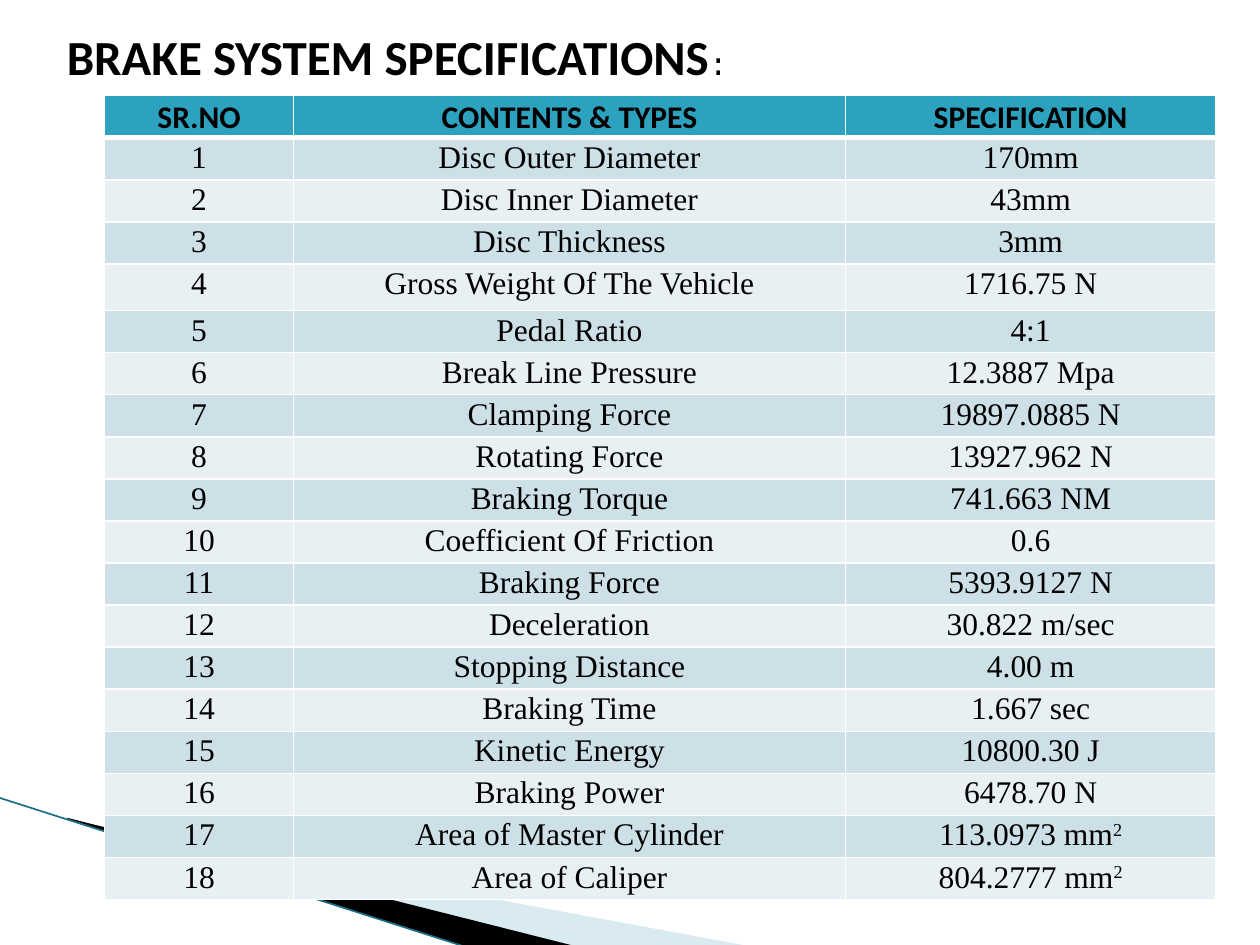
import dataclasses

import lxml.etree
import pptx
import pptx.dml.color
import pptx.enum.shapes
import pptx.enum.text
import pptx.oxml.ns
import pptx.util

RGB = pptx.dml.color.RGBColor
Inches = pptx.util.Inches
Pt = pptx.util.Pt
qn = pptx.oxml.ns.qn

BLACK = RGB(0x00, 0x00, 0x00)
WHITE = RGB(0xFF, 0xFF, 0xFF)
TEAL = RGB(0x2D, 0xA2, 0xBF)
BLUE = RGB(0xCD, 0xE0, 0xE8)
PALE = RGB(0xE8, 0xF0, 0xF4)
SKY = RGB(0xA0, 0xCB, 0xDC)
EDGE = RGB(0x1B, 0x70, 0x86)

HEADS = ("SR.NO", "CONTENTS & TYPES", "SPECIFICATION")
WIDTHS = (1.5, 4.38, 2.94)
HEIGHT = 6.38
TALL = 0.37
TALL_ROW = 4


@dataclasses.dataclass
class Spec:
    name: str
    value: str
    power: str = ""


@dataclasses.dataclass
class Wedge:
    box: tuple[float, float, float, float]
    points: list[tuple[float, float]]
    color: RGB
    alpha: int = 100


SPECS = [
    Spec("Disc Outer Diameter", "170mm"),
    Spec("Disc Inner Diameter", "43mm"),
    Spec("Disc Thickness", "3mm"),
    Spec("Gross Weight Of The Vehicle", "1716.75 N"),
    Spec("Pedal Ratio", "4:1"),
    Spec("Break Line Pressure", "12.3887 Mpa"),
    Spec("Clamping Force", "19897.0885 N"),
    Spec("Rotating Force", "13927.962 N"),
    Spec("Braking Torque", "741.663 NM"),
    Spec("Coefficient Of Friction", "0.6"),
    Spec("Braking Force", "5393.9127 N"),
    Spec("Deceleration", "30.822 m/sec"),
    Spec("Stopping Distance", "4.00 m"),
    Spec("Braking Time", "1.667 sec"),
    Spec("Kinetic Energy", "10800.30 J"),
    Spec("Braking Power", "6478.70 N"),
    Spec("Area of Master Cylinder", "113.0973 mm", "2"),
    Spec("Area of Caliper", "804.2777 mm", "2"),
]

WEDGES = [
    Wedge((0.78, 5.47, 4.16, 1.58),
          [(0.55, 6.51), (5.95, 7.51), (4.56, 7.51), (0.55, 6.5)], SKY, 40),
    Wedge((-0.06, 6.33, 4.16, 0.92),
          [(0.53, 6.49), (4.57, 7.51), (3.72, 7.52), (0.54, 6.5)], BLACK),
]


def add_run(para, text: str, size: int, face: str, bold: bool = False):
    run = para.add_run()
    run.text = text
    run.font.size = Pt(size)
    run.font.name = face
    run.font.bold = bold
    run.font.color.rgb = BLACK
    return run


def set_frame(shape, box: tuple[float, float, float, float]) -> None:
    left, top, width, height = map(Inches, box)
    right, down = shape.left - left, shape.top - top
    route = shape._element.find(".//" + qn("a:path"))
    route.set("w", str(width))
    route.set("h", str(height))
    for point in route.iter(qn("a:pt")):
        point.set("x", str(int(point.get("x")) + right))
        point.set("y", str(int(point.get("y")) + down))
    shape.left, shape.top = left, top
    shape.width, shape.height = width, height


def draw_wedge(slide, wedge: Wedge) -> None:
    first, *rest = [(Inches(x), Inches(y)) for x, y in wedge.points]
    form = slide.shapes.build_freeform(*first)
    form.add_line_segments(rest, close=True)
    shape = form.convert_to_shape()
    set_frame(shape, wedge.box)
    shape.shadow.inherit = False
    shape.line.fill.background()
    shape.fill.solid()
    shape.fill.fore_color.rgb = wedge.color
    if wedge.alpha < 100:
        color = shape.fill._xPr.find(".//" + qn("a:srgbClr"))
        lxml.etree.SubElement(color, qn("a:alpha"), val=str(wedge.alpha * 1000))


def draw_edge(slide) -> None:
    line = slide.shapes.add_connector(
        pptx.enum.shapes.MSO_CONNECTOR.STRAIGHT,
        Inches(-0.01), Inches(6.33), Inches(3.71), Inches(7.52))
    line.line.color.rgb = EDGE
    line.line.width = Pt(0.95)
    lxml.etree.SubElement(line._element.spPr, qn("a:effectLst"))


def draw_title(slide) -> None:
    title = slide.shapes.title
    title.left, title.top = Inches(0.43), Inches(0.16)
    title.width, title.height = Inches(5.52), Inches(0.57)
    frame = title.text_frame
    frame.word_wrap = False
    frame.auto_size = pptx.enum.text.MSO_AUTO_SIZE.SHAPE_TO_FIT_TEXT
    frame.vertical_anchor = pptx.enum.text.MSO_ANCHOR.TOP
    para = frame.paragraphs[0]
    para.alignment = pptx.enum.text.PP_ALIGN.LEFT
    para.line_spacing = 1.0
    para.space_before = Pt(0)
    add_run(para, "BRAKE SYSTEM SPECIFICATIONS", 28, "Calibri", True)
    add_run(para, ":", 18, "Courier New")


def set_sides(cell, top: int, base: int) -> None:
    props = cell._tc.get_or_add_tcPr()
    for side, width in (("L", 1), ("R", 1), ("T", top), ("B", base)):
        line = lxml.etree.SubElement(props, qn("a:ln" + side), w=str(Pt(width)))
        fill = lxml.etree.SubElement(line, qn("a:solidFill"))
        lxml.etree.SubElement(fill, qn("a:srgbClr"), val=str(WHITE))


def fill_cell(cell, row: int, text: str, power: str = "") -> None:
    head = row == 0
    set_sides(cell, 3 if row == 1 else 1, 3 if head else 1)
    cell.margin_left = cell.margin_right = Inches(0.07)
    cell.margin_top = cell.margin_bottom = 0
    cell.fill.solid()
    cell.fill.fore_color.rgb = TEAL if head else BLUE if row % 2 else PALE
    para = cell.text_frame.paragraphs[0]
    para.alignment = pptx.enum.text.PP_ALIGN.CENTER
    para.line_spacing = 1.07
    face = "Calibri" if head else "Times New Roman"
    add_run(para, text, 18, face, head)
    if power:
        run = add_run(para, power, 18, face)
        run._r.get_or_add_rPr().set("baseline", "30000")


def draw_table(slide) -> None:
    count = len(SPECS) + 1
    table = slide.shapes.add_table(
        count, len(HEADS), Inches(0.83), Inches(0.76),
        Inches(sum(WIDTHS)), Inches(HEIGHT)).table
    for column, width in zip(table.columns, WIDTHS):
        column.width = Inches(width)
    for index, row in enumerate(table.rows):
        tall = index == TALL_ROW
        row.height = Inches(TALL if tall else (HEIGHT - TALL) / (count - 1))
    for index, text in enumerate(HEADS):
        fill_cell(table.cell(0, index), 0, text)
    for row, spec in enumerate(SPECS, 1):
        fill_cell(table.cell(row, 0), row, str(row))
        fill_cell(table.cell(row, 1), row, spec.name)
        fill_cell(table.cell(row, 2), row, spec.value, spec.power)


def main() -> None:
    deck = pptx.Presentation()
    deck.slide_width, deck.slide_height = Inches(10), Inches(7.5)
    slide = deck.slides.add_slide(deck.slide_layouts.get_by_name("Title Only"))
    for wedge in WEDGES:
        draw_wedge(slide, wedge)
    draw_edge(slide)
    draw_title(slide)
    draw_table(slide)
    deck.save("out.pptx")


if __name__ == "__main__":
    main()
